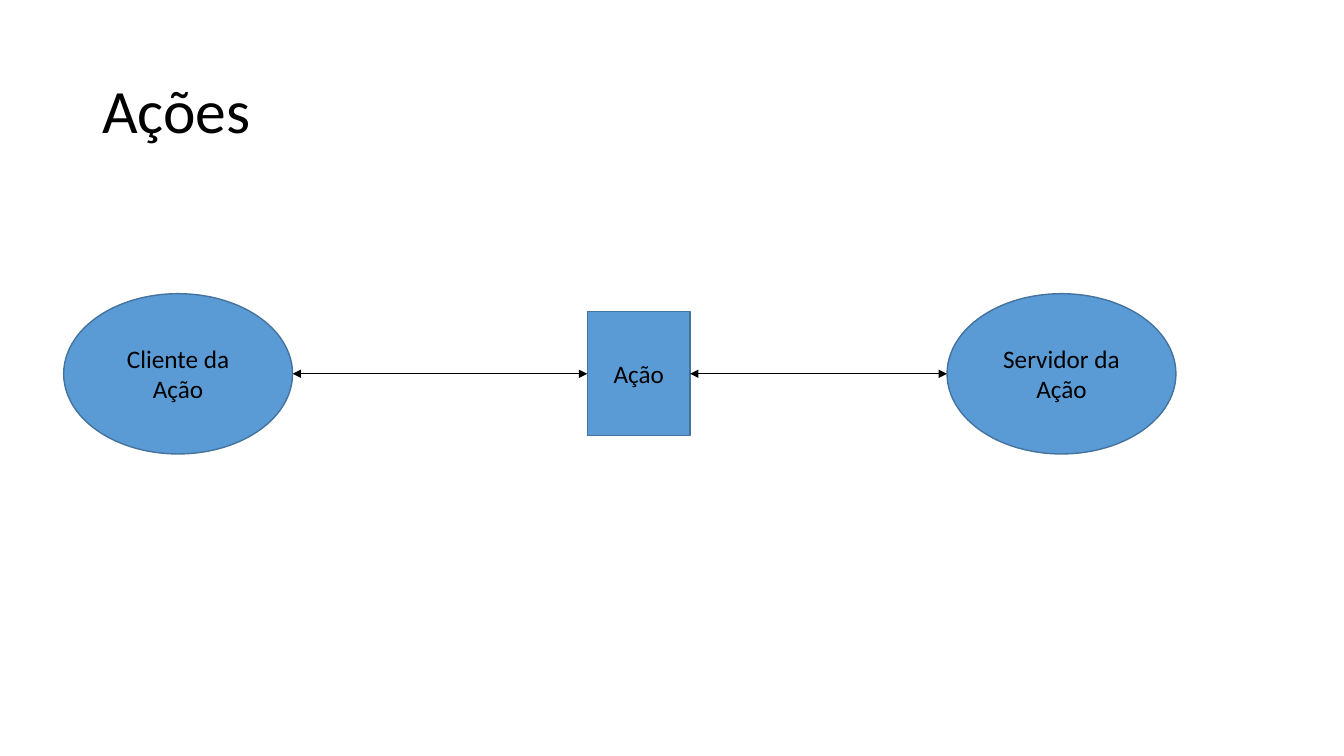
"""Build the slide showing an action between its client and its server."""
import pptx
import pptx.util
import pptx.dml.color
import pptx.enum.shapes
import pptx.enum.text
import pptx.oxml.ns
import lxml.etree

Pt = pptx.util.Pt
BLACK = pptx.dml.color.RGBColor(0x00, 0x00, 0x00)
BLUE = pptx.dml.color.RGBColor(0x5B, 0x9B, 0xD5)
DARK_BLUE = pptx.dml.color.RGBColor(0x43, 0x73, 0x9E)
SHAPES = pptx.enum.shapes.MSO_SHAPE
ALIGN = pptx.enum.text.PP_ALIGN
MIDDLE_Y = 267


def write_text(box, text, size, alignment):
    frame = box.text_frame
    frame.word_wrap = True
    frame.vertical_anchor = pptx.enum.text.MSO_ANCHOR.MIDDLE
    para = frame.paragraphs[0]
    para.alignment = alignment
    span = para.add_run()
    span.text = text
    span.font.color.rgb = BLACK
    for name, value in {"name": "Calibri", "size": Pt(size)}.items():
        setattr(span.font, name, value)
    return para


deck = pptx.Presentation()
deck.slide_width, deck.slide_height = Pt(960), Pt(540)
page = deck.slides.add_slide(deck.slide_layouts[6])

title = page.shapes.add_textbox(Pt(66), Pt(28.75), Pt(828), Pt(104.4))
write_text(title, "Ações", 44, ALIGN.LEFT).line_spacing = 0.9

nodes = [
    ("Cliente da Ação", SHAPES.OVAL, 45.5, 163.5, 114.5),
    ("Ação", SHAPES.RECTANGLE, 419.5, 73.5, 88.5),
    ("Servidor da Ação", SHAPES.OVAL, 676.5, 163.5, 114.5),
]
for text, kind, left, width, height in nodes:
    node = page.shapes.add_shape(
        kind, Pt(left), Pt(MIDDLE_Y - height / 2), Pt(width), Pt(height))
    node.shadow.inherit = False
    node.fill.solid()
    node.fill.fore_color.rgb = BLUE
    node.line.color.rgb = DARK_BLUE
    node.line.width = Pt(1)
    write_text(node, text, 18, ALIGN.CENTER)

for source, target in zip(nodes, nodes[1:]):
    start, end = source[2] + source[3], target[2]
    arrow = page.shapes.add_connector(
        pptx.enum.shapes.MSO_CONNECTOR.STRAIGHT,
        Pt(start), Pt(MIDDLE_Y), Pt(end), Pt(MIDDLE_Y))
    arrow.line.color.rgb = BLACK
    arrow.line.width = Pt(0.5)
    outline = arrow.line._get_or_add_ln()
    for tag in ("a:headEnd", "a:tailEnd"):
        lxml.etree.SubElement(outline, pptx.oxml.ns.qn(tag), type="triangle")
    lxml.etree.SubElement(
        arrow._element.spPr, pptx.oxml.ns.qn("a:effectLst"))

deck.save("out.pptx")
